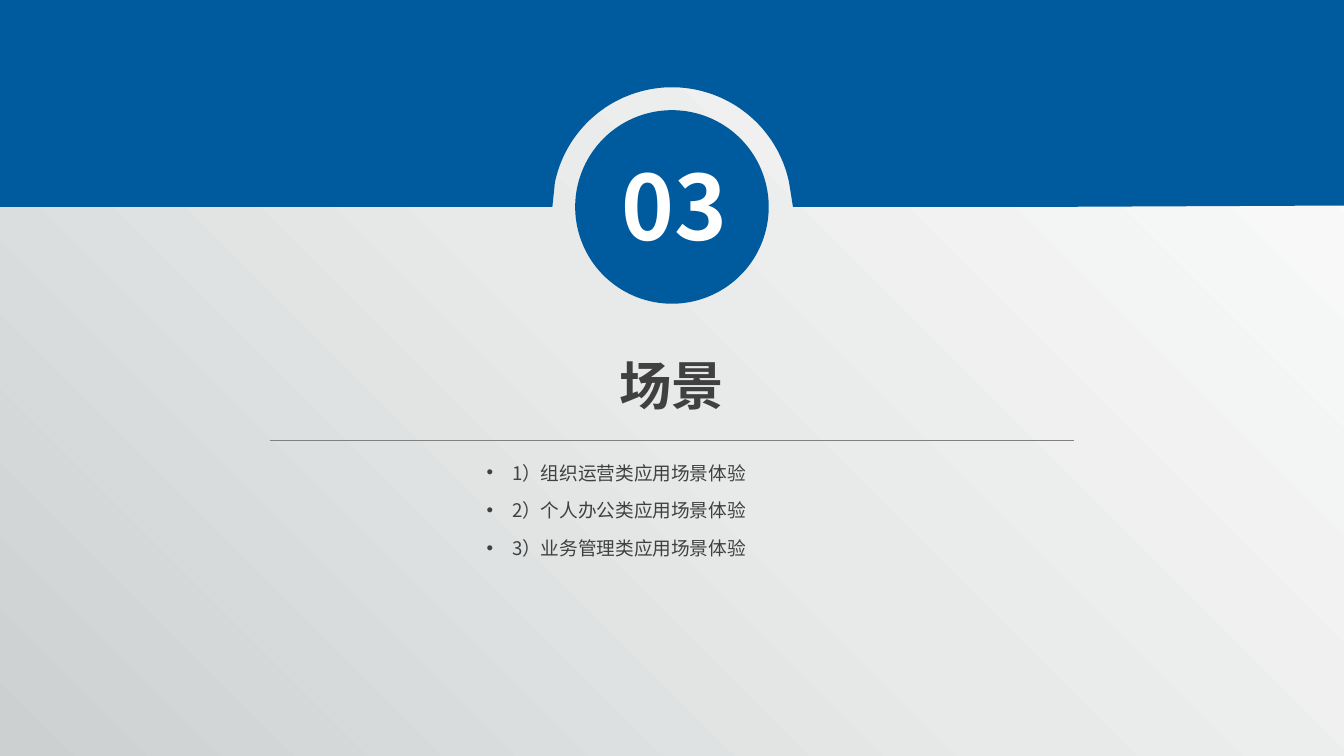
import copy
import math

import pptx
import pptx.dml.color
import pptx.enum.shapes
import pptx.enum.text
import pptx.oxml.ns
import pptx.util
from lxml import etree

Inches = pptx.util.Inches
Pt = pptx.util.Pt
ShapeType = pptx.enum.shapes.MSO_SHAPE
qn = pptx.oxml.ns.qn

NUMBER = "03"
TITLE = "场景"
SCENES = ["1）组织运营类应用场景体验", "2）个人办公类应用场景体验", "3）业务管理类应用场景体验"]

FONT = "Noto Sans CJK SC"
COLORS = {"blue": "005A9E", "text": "404040", "white": "FFFFFF", "rule": "808080"}
BACKDROP_STOPS = [(0, "CCD0D1"), (0.49, "E8EAE9"), (1, "FCFCFC")]

WIDTH = 10
HEIGHT = WIDTH * 9 / 16
CENTER_X, CENTER_Y = 5, 1.54
BAND_TOP, NOTCH_RADIUS, DISC_RADIUS = -0.79, 0.89, 0.72
SCENE_TOP, SCENE_STEP = 3.36, 0.28
SMALL_INSETS = (0.07, 0.04)


def rgb(value):
    return pptx.dml.color.RGBColor.from_string(value)


def paint(shape, color):
    shape.shadow.inherit = False
    shape.fill.solid()
    shape.fill.fore_color.rgb = rgb(color)
    shape.line.fill.background()


def add_backdrop(slide):
    backdrop = slide.shapes.add_shape(ShapeType.RECTANGLE, 0, 0, Inches(WIDTH), Inches(HEIGHT))
    backdrop.shadow.inherit = False
    backdrop.line.fill.background()
    backdrop.fill.gradient()
    backdrop.fill.gradient_angle = 45
    first_stop = next(backdrop.fill._fill._gradFill.iter(qn("a:gs")))
    first_stop.addnext(copy.deepcopy(first_stop))
    for stop, (position, color) in zip(backdrop.fill.gradient_stops, BACKDROP_STOPS):
        stop.position = position
        stop.color.rgb = rgb(color)


def add_band(slide):
    """Blue band whose lower edge is notched by an arc around the disc."""
    arc = []
    for degrees in range(168, 11, -2):
        angle = math.radians(degrees)
        arc.append((CENTER_X + NOTCH_RADIUS * math.cos(angle),
                    CENTER_Y - NOTCH_RADIUS * math.sin(angle)))
    points = [(0, CENTER_Y), (4.11, CENTER_Y), *arc, (5.9, CENTER_Y),
              (7.8, CENTER_Y), (10.02, 1.53), (10.02, BAND_TOP)]
    builder = slide.shapes.build_freeform(0, Inches(BAND_TOP), scale=1.0)
    builder.add_line_segments([(Inches(x), Inches(y)) for x, y in points], close=True)
    paint(builder.convert_to_shape(), COLORS["blue"])


def add_text(slide, text, box, size, color, bold=False, centered=True, insets=(0.1, 0.05), bullet=None):
    text_box = slide.shapes.add_textbox(*map(Inches, box))
    frame = text_box.text_frame
    frame.word_wrap = True
    frame.auto_size = pptx.enum.text.MSO_AUTO_SIZE.SHAPE_TO_FIT_TEXT
    frame.margin_left = frame.margin_right = Inches(insets[0])
    frame.margin_top = frame.margin_bottom = Inches(insets[1])
    frame.text = text
    paragraph = frame.paragraphs[0]
    if centered:
        paragraph.alignment = pptx.enum.text.PP_ALIGN.CENTER
    if bullet:
        paragraph.line_spacing = 1.2
        properties = paragraph._p.get_or_add_pPr()
        properties.set("marL", str(Inches(0.19)))
        properties.set("indent", str(Inches(-0.19)))
        etree.SubElement(properties, qn("a:buFont"), typeface="Arial")
        etree.SubElement(properties, qn("a:buChar"), char=bullet)
    font = paragraph.runs[0].font
    font.name, font.size, font.bold = FONT, Pt(size), bold
    font.color.rgb = rgb(color)
    etree.SubElement(font._element, qn("a:ea"), typeface=FONT)


def add_rule(slide):
    rule = slide.shapes.add_connector(pptx.enum.shapes.MSO_CONNECTOR.STRAIGHT,
                                      Inches(2.01), Inches(3.28), Inches(7.99), Inches(3.28))
    rule.line.color.rgb = rgb(COLORS["rule"])
    rule.line.width = Pt(0.75)
    etree.SubElement(rule._element.spPr, qn("a:effectLst"))


def main():
    presentation = pptx.Presentation()
    presentation.slide_width = Inches(WIDTH)
    presentation.slide_height = Inches(HEIGHT)
    slide = presentation.slides.add_slide(presentation.slide_layouts[6])

    add_backdrop(slide)
    add_band(slide)
    add_text(slide, TITLE, (3.23, 2.58, 3.54, 0.57), 28, COLORS["text"], bold=True)
    add_rule(slide)

    disc = slide.shapes.add_shape(
        ShapeType.OVAL, Inches(CENTER_X - DISC_RADIUS), Inches(CENTER_Y - DISC_RADIUS),
        Inches(2 * DISC_RADIUS), Inches(2 * DISC_RADIUS))
    paint(disc, COLORS["blue"])
    add_text(slide, NUMBER, (4.47, 1.08, 1.09, 0.88), 48, COLORS["white"], bold=True,
             insets=SMALL_INSETS)

    for index, scene in enumerate(SCENES):
        add_text(slide, scene, (3.55, SCENE_TOP + index * SCENE_STEP, 2.71, 0.26), 10,
                 COLORS["text"], centered=False, insets=SMALL_INSETS, bullet="•")

    presentation.save("out.pptx")


if __name__ == "__main__":
    main()
